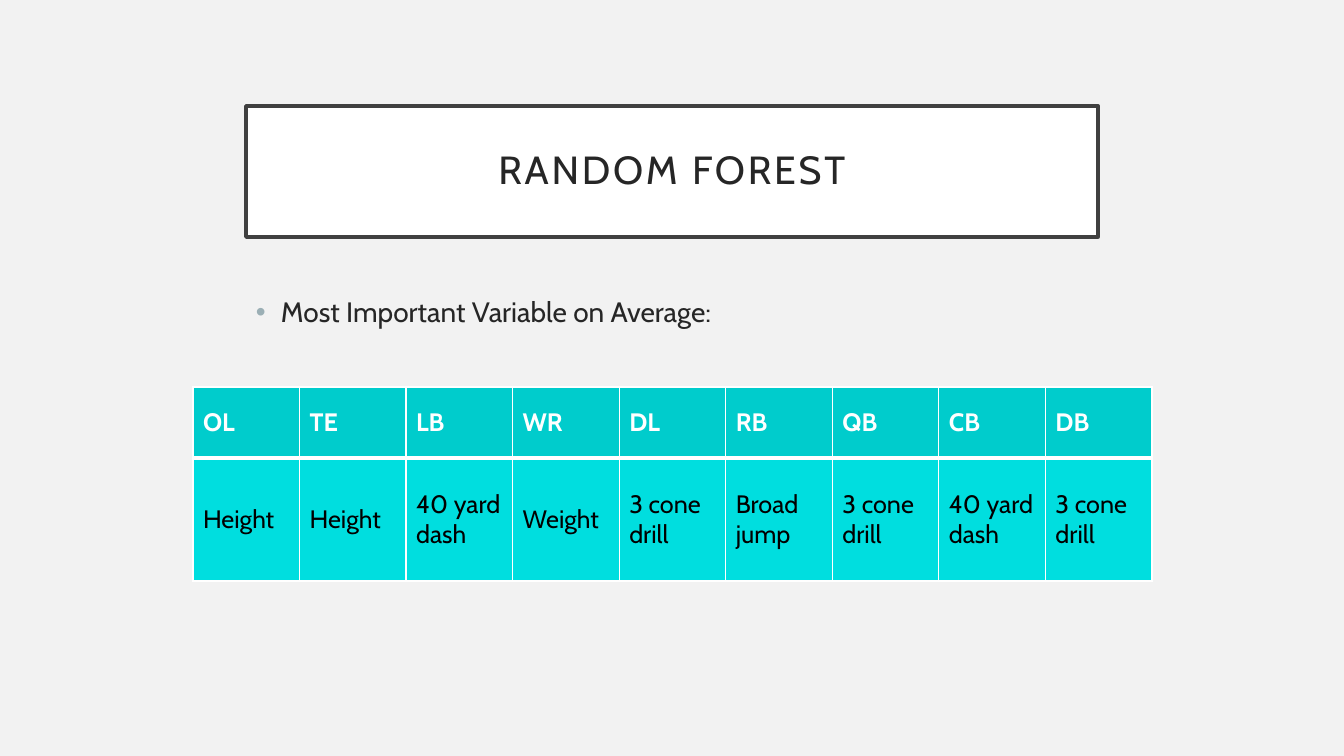
import pptx
import pptx.dml.color
import pptx.enum.shapes
import pptx.enum.text
import pptx.oxml
import pptx.oxml.ns
import pptx.util

RGBColor = pptx.dml.color.RGBColor
BACKGROUND = RGBColor(0xF2, 0xF2, 0xF2)
WHITE = RGBColor(0xFF, 0xFF, 0xFF)
BLACK = RGBColor(0x00, 0x00, 0x00)
FRAME = RGBColor(0x40, 0x40, 0x40)
INK = RGBColor(0x26, 0x26, 0x26)
BULLET = RGBColor(0x9B, 0xAF, 0xB5)
HEADER_FILL = RGBColor(0x00, 0xCC, 0xCC)
BODY_FILL = RGBColor(0x00, 0xDE, 0xDF)

PX_PER_INCH = 100.8
NAMESPACE = pptx.oxml.ns.nsdecls("a")
MIDDLE = pptx.enum.text.MSO_ANCHOR.MIDDLE


def px(length):
    return pptx.util.Emu(round(length * 914400 / PX_PER_INCH))


def set_font(font, size, color, bold=False):
    values = {"name": "Cabin", "size": pptx.util.Pt(size), "bold": bold}
    for name, value in values.items():
        setattr(font, name, value)
    font.color.rgb = color


presentation = pptx.Presentation()
presentation.slide_width = px(1344)
presentation.slide_height = px(756)
slide = presentation.slides.add_slide(presentation.slide_layouts[6])
slide.background.fill.solid()
slide.background.fill.fore_color.rgb = BACKGROUND

# Framed title
title = slide.shapes.add_shape(
    pptx.enum.shapes.MSO_SHAPE.RECTANGLE, px(246), px(106), px(852), px(131))
title.shadow.inherit = False
title.fill.solid()
title.fill.fore_color.rgb = WHITE
title.line.color.rgb = FRAME
title.line.width = pptx.util.Pt(2.5)
title_format = {"word_wrap": True, "vertical_anchor": MIDDLE}
for side in ("left", "top", "right", "bottom"):
    title_format[f"margin_{side}"] = px(20)
for name, value in title_format.items():
    setattr(title.text_frame, name, value)
paragraph = title.text_frame.paragraphs[0]
paragraph.alignment = pptx.enum.text.PP_ALIGN.CENTER
paragraph.line_spacing = 0.9
run = paragraph.add_run()
run.text = "RANDOM FOREST"
set_font(run.font, 28, INK)
run.font._element.set("spc", "200")

# Bulleted lead-in
lead_in = slide.shapes.add_textbox(px(246), px(290), px(852), px(342))
lead_in.text_frame.word_wrap = True
paragraph = lead_in.text_frame.paragraphs[0]
paragraph.space_before = pptx.util.Pt(10)
run = paragraph.add_run()
run.text = "Most Important Variable on Average:"
set_font(run.font, 20, INK)
properties = paragraph._p.get_or_add_pPr()
properties.set("marL", str(px(25)))
properties.set("indent", str(-px(25)))
for xml in (
    f'<a:buClr {NAMESPACE}><a:srgbClr val="{BULLET}"/></a:buClr>',
    f'<a:buFont {NAMESPACE} typeface="Arial"/>',
    f'<a:buChar {NAMESPACE} char="•"/>',
):
    properties.append(pptx.oxml.parse_xml(xml))

# Most important variable for each position
variables = {
    "OL": "Height",
    "TE": "Height",
    "LB": "40 yard dash",
    "WR": "Weight",
    "DL": "3 cone\ndrill",
    "RB": "Broad jump",
    "QB": "3 cone drill",
    "CB": "40 yard dash",
    "DB": "3 cone drill",
}
table_width = 959
row_heights = (71, 123)
table = slide.shapes.add_table(
    2, len(variables), px(193), px(387), px(table_width), px(sum(row_heights))).table
for column in table.columns:
    column.width = px(table_width / len(variables))

row_styles = (
    {"texts": variables.keys(), "fill": HEADER_FILL, "color": WHITE, "bold": True,
     "borders": {"L": 1, "R": 1, "T": 1, "B": 3}},
    {"texts": variables.values(), "fill": BODY_FILL, "color": BLACK, "bold": False,
     "borders": {"L": 1, "R": 1, "T": 3, "B": 1}},
)
for row, height, style in zip(table.rows, row_heights, row_styles):
    row.height = px(height)
    for cell, text in zip(row.cells, style["texts"]):
        cell.text = text
        cell.vertical_anchor = MIDDLE
        for paragraph in cell.text_frame.paragraphs:
            set_font(paragraph.runs[0].font, 18, style["color"], style["bold"])
        for side, width in style["borders"].items():
            cell._tc.get_or_add_tcPr().append(pptx.oxml.parse_xml(
                f'<a:ln{side} {NAMESPACE} w="{pptx.util.Pt(width)}"><a:solidFill>'
                f'<a:srgbClr val="{WHITE}"/></a:solidFill></a:ln{side}>'))
        cell.fill.solid()
        cell.fill.fore_color.rgb = style["fill"]

presentation.save("out.pptx")
